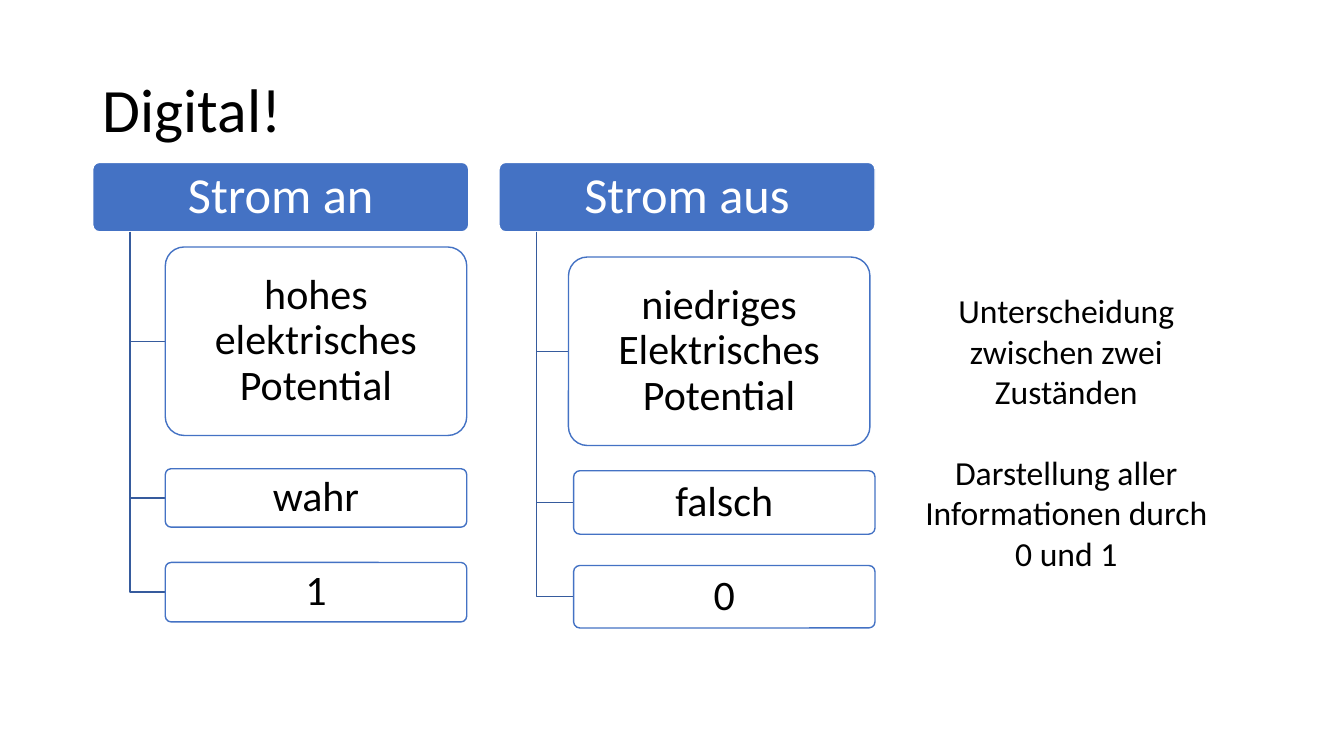
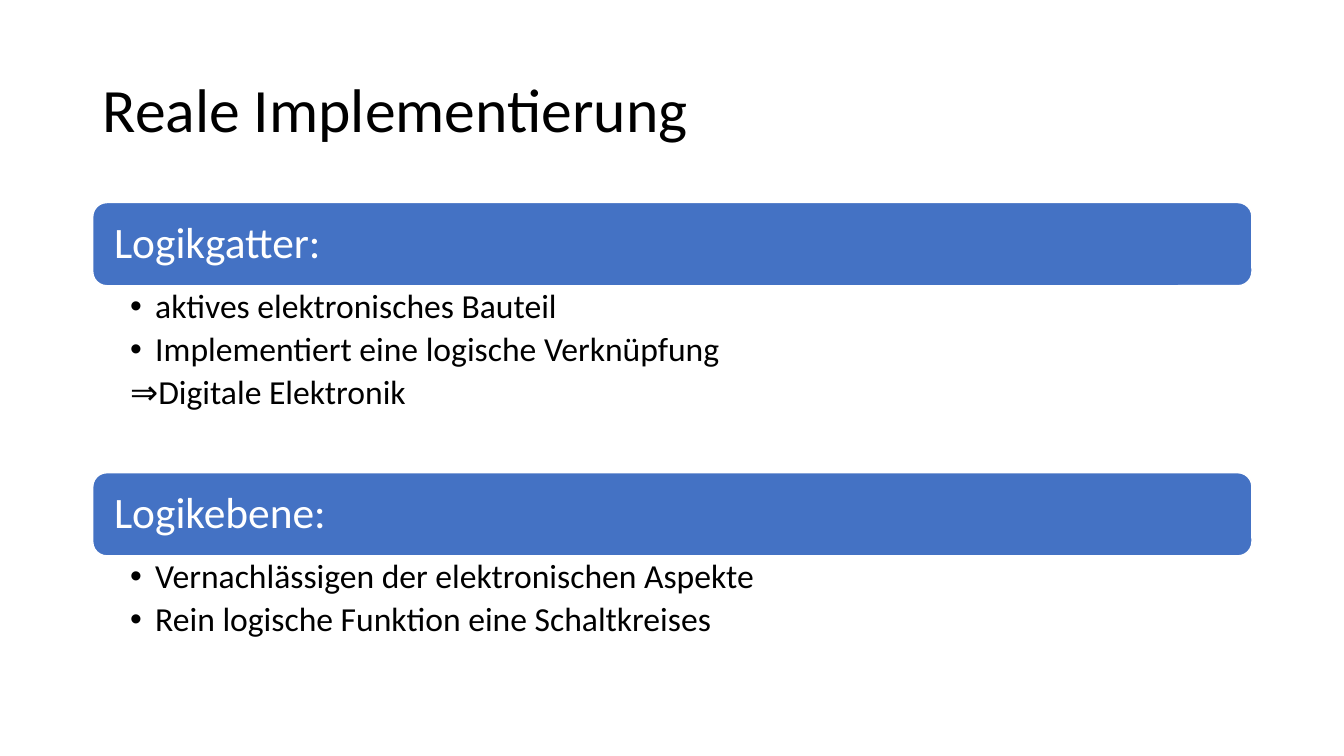
"""Builds two slides on digital states and how they are implemented."""
from lxml.etree import SubElement
from pptx import Presentation
from pptx.dml.color import RGBColor
from pptx.enum.shapes import MSO_SHAPE as Preset
from pptx.enum.text import MSO_ANCHOR as Anchor, MSO_AUTO_SIZE as AutoSize, PP_ALIGN as Align
from pptx.oxml.ns import qn
from pptx.util import Inches, Pt

BLUE = RGBColor(0x44, 0x72, 0xC4)
DARK_BLUE = RGBColor(0x36, 0x5B, 0x9D)
WHITE = RGBColor(0xFF, 0xFF, 0xFF)
BLACK = RGBColor(0x00, 0x00, 0x00)

MARGIN, CONTENT_WIDTH = 6.9, 86.25
HEAD_TOP, HEAD_WIDTH, HEAD_HEIGHT = 21.47, 27.98, 9.2
TRUNK_OFFSET, BOX_WIDTH = 2.78, 22.43
BAND_HEIGHT = 11

STATES = [
    ("Strom an", 6.9, [
        ("hohes elektrisches Potential", 12.3, 32.67, 24.93),
        ("wahr", 12.3, 62, 7.73),
        ("1", 12.3, 74.4, 7.87),
    ]),
    ("Strom aus", 37.13, [
        ("niedriges Elektrisches Potential", 42.3, 34, 24.93),
        ("falsch", 42.68, 62.27, 8.4),
        ("0", 42.68, 74.8, 8.27),
    ]),
]
CONCLUSIONS = [
    "Unterscheidung zwischen zwei Zuständen",
    "Darstellung aller Informationen durch 0 und 1",
]
LEVELS = [
    ("Logikgatter:", 26.8, 24.67, [
        ("•", "aktives elektronisches Bauteil"),
        ("•", "Implementiert eine logische Verknüpfung"),
        (None, "⇒Digitale Elektronik"),
    ]),
    ("Logikebene:", 62.53, 16.53, [
        ("•", "Vernachlässigen der elektronischen Aspekte"),
        ("•", "Rein logische Funktion eine Schaltkreises"),
    ]),
]


class Deck:
    """Holds the style and the current slide; lengths are percent of the slide."""

    font = "Calibri"

    def __init__(self):
        self.show = Presentation()
        self.show.slide_width, self.show.slide_height = Inches(13.33), Inches(7.5)
        self.slide = None

    def area(self, left, top, width, height):
        across, down = self.show.slide_width / 100, self.show.slide_height / 100
        return [round(length) for length in
                (left * across, top * down, width * across, height * down)]

    def place(self, holder, *area):
        holder.left, holder.top, holder.width, holder.height = self.area(*area)

    def frame(self, owner, anchor, insets=(0.1, 0.05, 0.1, 0.05)):
        text = owner.text_frame
        text.word_wrap, text.auto_size = True, AutoSize.NONE
        text.vertical_anchor = anchor
        text.margin_left, text.margin_top, text.margin_right, text.margin_bottom = map(Inches, insets)
        return text

    def add_text(self, paragraph, words, size, color=BLACK, align=Align.LEFT, spacing=0.9):
        paragraph.alignment, paragraph.line_spacing = align, spacing
        run = paragraph.add_run()
        run.text = words
        run.font.name, run.font.size = self.font, Pt(size)
        run.font.color.rgb = color

    def new_slide(self, layout, heading):
        self.slide = self.show.slides.add_slide(self.show.slide_layouts.get_by_name(layout))
        title = self.slide.shapes.title
        self.place(title, MARGIN, 5.33, CONTENT_WIDTH, 19.2)
        self.add_text(self.frame(title, Anchor.MIDDLE).paragraphs[0], heading, 44)

    def panel(self, area, words, size, fill, line, color, align, inset, corner, opacity=100):
        panel = self.slide.shapes.add_shape(Preset.ROUNDED_RECTANGLE, *self.area(*area))
        panel.shadow.inherit = False
        panel.adjustments[0] = corner
        panel.fill.solid()
        panel.fill.fore_color.rgb = fill
        if opacity < 100:
            tint = panel.fill._xPr.find(qn("a:solidFill"))[0]
            SubElement(tint, qn("a:alpha")).set("val", str(opacity * 1000))
        panel.line.color.rgb, panel.line.width = line, Pt(1)
        text = self.frame(panel, Anchor.MIDDLE, (inset, 0.05, inset, 0.05))
        self.add_text(text.paragraphs[0], words, size, color, align)

    def head(self, words, left):
        self.panel((left, HEAD_TOP, HEAD_WIDTH, HEAD_HEIGHT), words, 36,
                   BLUE, WHITE, WHITE, Align.CENTER, 0.09, 0.1)

    def box(self, words, left, top, height):
        self.panel((left, top, BOX_WIDTH, height), words, 30,
                   WHITE, BLUE, BLACK, Align.CENTER, 0.1, 0.1, 90)

    def band(self, words, top):
        self.panel((MARGIN, top, CONTENT_WIDTH, BAND_HEIGHT), words, 31,
                   BLUE, WHITE, WHITE, Align.LEFT, 0.17, 0.17)

    def branch(self, trunk, top, tip, middle):
        x, y, width, height = self.area(trunk, top, tip - trunk, middle - top)
        outline = self.slide.shapes.build_freeform(x, y)
        outline.add_line_segments([(x, y + height), (x + width, y + height)], close=False)
        elbow = outline.convert_to_shape()
        elbow.shadow.inherit = False
        elbow.fill.background()
        elbow.line.color.rgb, elbow.line.width = DARK_BLUE, Pt(1)

    def note(self, area, statements):
        text = self.frame(self.slide.shapes.add_textbox(*self.area(*area)), Anchor.TOP)
        for index, words in enumerate(statements):
            paragraph = text.add_paragraph() if index else text.paragraphs[0]
            paragraph.space_before = Pt(29 if index else 0)
            self.add_text(paragraph, words, 24, align=Align.CENTER, spacing=1.0)

    def points(self, slot, top, height, entries):
        body = self.slide.placeholders[slot]
        self.place(body, MARGIN, top, CONTENT_WIDTH, height)
        text = self.frame(body, Anchor.TOP, (0.37, 0.04, 0.24, 0.04))
        for index, (mark, words) in enumerate(entries):
            paragraph = text.add_paragraph() if index else text.paragraphs[0]
            paragraph.level = 1
            paragraph.space_before, paragraph.space_after = Pt(0), Pt(4.8)
            self.add_text(paragraph, words, 24)
            layout = paragraph._p.get_or_add_pPr()
            layout.set("marL", str(Inches(0.25)))
            layout.set("indent", str(-Inches(0.25)))
            if mark:
                SubElement(layout, qn("a:buChar")).set("char", mark)
            else:
                SubElement(layout, qn("a:buNone"))


def main():
    deck = Deck()

    deck.new_slide("Title Only", "Digital!")
    for state, left, meanings in STATES:
        deck.head(state, left)
        for words, box_left, top, height in meanings:
            deck.branch(left + TRUNK_OFFSET, HEAD_TOP + HEAD_HEIGHT, box_left, top + height / 2)
            deck.box(words, box_left, top, height)
    deck.note((67.6, 37.73, 23.48, 39.07), CONCLUSIONS)

    deck.new_slide("Two Content", "Reale Implementierung")
    for slot, (level, top, height, entries) in enumerate(LEVELS, 1):
        deck.band(level, top)
        deck.points(slot, top + BAND_HEIGHT, height, entries)

    deck.show.save("out.pptx")


if __name__ == "__main__":
    main()
